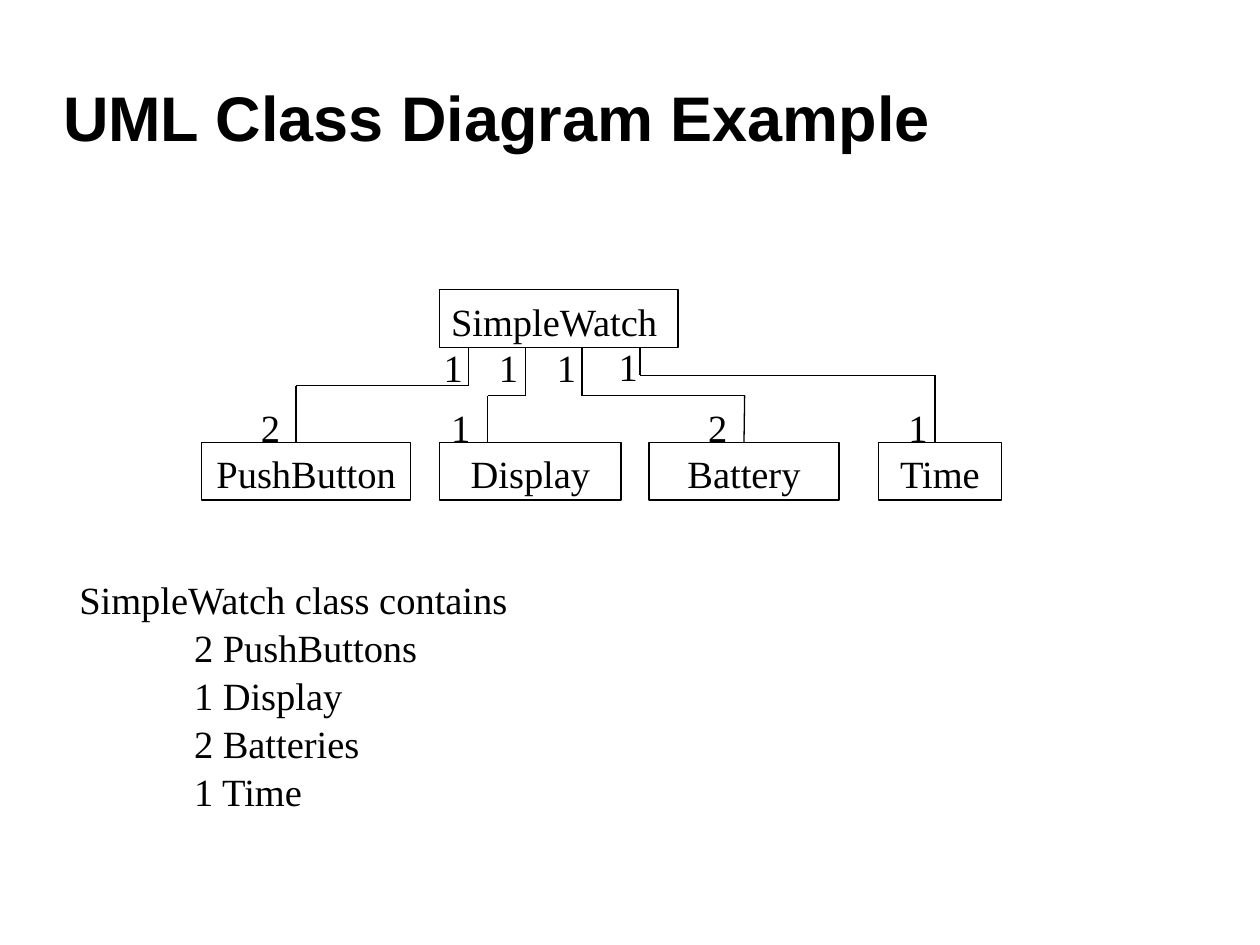
from dataclasses import dataclass

from lxml.etree import SubElement
from pptx import Presentation
from pptx.dml.color import RGBColor
from pptx.enum.shapes import MSO_CONNECTOR, MSO_SHAPE
from pptx.enum.text import MSO_ANCHOR, MSO_AUTO_SIZE, PP_ALIGN
from pptx.oxml.ns import qn
from pptx.util import Inches, Pt

BLACK = "000000"
ROW_HEIGHT = 0.46
PARENT_TOP, CHILD_TOP = 2.3, 3.51
PARENT_BOTTOM = PARENT_TOP + ROW_HEIGHT


@dataclass
class Part:
    """A contained class, its association route and multiplicity labels."""
    name: str
    left: float
    width: float
    child_x: float
    parent_x: float
    bend_y: float
    whole_label: tuple
    part_label: tuple


PARTS = [
    Part("PushButton", 1.6, 1.66, 2.35, 3.72, 3.06,
         ("1", 3.43, 2.67, 0.28), ("2", 1.98, 3.14, 0.76)),
    Part("Display", 3.49, 1.44, 3.87, 4.17, 3.14,
         ("1", 3.87, 2.67, 0.23), ("1", 3.49, 3.14, 0.76)),
    Part("Battery", 5.15, 1.51, 5.91, 4.62, 3.14,
         ("1", 4.33, 2.67, 0.38), ("2", 5.53, 3.14, 0.3)),
    Part("Time", 6.97, 0.98, 7.42, 5.08, 2.98,
         ("1", 4.82, 2.66, 0.76), ("1", 7.12, 3.14, 0.76)),
]


def color(value):
    """Turn a hex string into a colour."""
    return RGBColor.from_string(value)


def add_run(paragraph, text, font_name, size, bold=False):
    """Append one formatted run."""
    run = paragraph.add_run()
    run.text = text
    run.font.name = font_name
    run.font.size = Pt(size)
    run.font.bold = bold
    run.font.color.rgb = color(BLACK)


def add_body_line(paragraph, text, align=PP_ALIGN.LEFT):
    """Write one line of serif text."""
    paragraph.alignment = align
    paragraph.line_spacing = 1.04
    add_run(paragraph, text, "Times New Roman", 22)


def prepare_frame(frame):
    """Set margins, wrapping and anchor of a text frame."""
    frame.margin_left = frame.margin_right = Inches(0.09)
    frame.margin_top = frame.margin_bottom = Inches(0.05)
    frame.vertical_anchor = MSO_ANCHOR.TOP
    frame.word_wrap = True
    frame.auto_size = MSO_AUTO_SIZE.SHAPE_TO_FIT_TEXT


def add_title(slide, left, top, width, height):
    """Place and format the slide title."""
    title = slide.shapes.title
    title.left, title.top = Inches(left), Inches(top)
    title.width, title.height = Inches(width), Inches(height)
    frame = title.text_frame
    frame.margin_left = frame.margin_right = 0
    frame.margin_top = frame.margin_bottom = 0
    frame.vertical_anchor = MSO_ANCHOR.MIDDLE
    frame.paragraphs[0].alignment = PP_ALIGN.LEFT
    add_run(frame.paragraphs[0], "UML Class Diagram Example", "Arial", 36, True)


def add_class_box(slide, name, left, top, width, align=PP_ALIGN.CENTER):
    """Draw one outlined class box."""
    box = slide.shapes.add_shape(
        MSO_SHAPE.RECTANGLE, Inches(left), Inches(top), Inches(width), Inches(ROW_HEIGHT))
    box.shadow.inherit = False
    box.fill.background()
    box.line.color.rgb = color(BLACK)
    box.line.width = Pt(0.75)
    prepare_frame(box.text_frame)
    add_body_line(box.text_frame.paragraphs[0], name, align)
    return box


def add_multiplicity(slide, count, left, top, width):
    """Write one multiplicity beside an association."""
    label = slide.shapes.add_textbox(
        Inches(left), Inches(top), Inches(width), Inches(ROW_HEIGHT))
    prepare_frame(label.text_frame)
    add_body_line(label.text_frame.paragraphs[0], count)


def add_line(slide, start, end):
    """Draw one straight segment."""
    line = slide.shapes.add_connector(
        MSO_CONNECTOR.STRAIGHT, *(Inches(value) for value in (*start, *end)))
    line.line.color.rgb = color(BLACK)
    line.line.width = Pt(0.75)
    SubElement(line._element.spPr, qn("a:effectLst"))
    return line


def add_association(slide, part, child_box):
    """Route an elbow from a contained class up to the parent class."""
    child_bend = (part.child_x, part.bend_y)
    parent_bend = (part.parent_x, part.bend_y)
    riser = add_line(slide, (part.child_x, CHILD_TOP), child_bend)
    if abs(part.left + part.width / 2 - part.child_x) < 0.01:
        riser.begin_connect(child_box, 0)
    add_line(slide, child_bend, parent_bend)
    add_line(slide, (part.parent_x, PARENT_BOTTOM), parent_bend)


def add_class_diagram(slide):
    """Draw the parent class, its parts and their associations."""
    add_class_box(slide, "SimpleWatch", 3.49, PARENT_TOP, 1.89, PP_ALIGN.LEFT)
    for part in PARTS:
        child_box = add_class_box(slide, part.name, part.left, CHILD_TOP, part.width)
        add_association(slide, part, child_box)
    for part in PARTS:
        add_multiplicity(slide, *part.whole_label)
        add_multiplicity(slide, *part.part_label)


def add_summary(slide, left, top, width, height):
    """List what the parent class contains."""
    summary = slide.shapes.add_textbox(
        Inches(left), Inches(top), Inches(width), Inches(height))
    frame = summary.text_frame
    prepare_frame(frame)
    add_body_line(frame.paragraphs[0], "SimpleWatch class contains")
    for item in ("2 PushButtons", "1 Display", "2 Batteries", "1 Time"):
        paragraph = frame.add_paragraph()
        paragraph._p.get_or_add_pPr().set("marL", str(Inches(0.91)))
        add_body_line(paragraph, item)


def main():
    """Build and save the slide."""
    presentation = Presentation()
    presentation.slide_width, presentation.slide_height = Inches(10), Inches(7.5)
    slide = presentation.slides.add_slide(presentation.slide_layouts[5])
    add_title(slide, 0.5, 0.3, 9, 1.25)
    add_class_diagram(slide)
    add_summary(slide, 0.54, 4.51, 9.07, 1.92)
    presentation.save("out.pptx")


if __name__ == "__main__":
    main()
